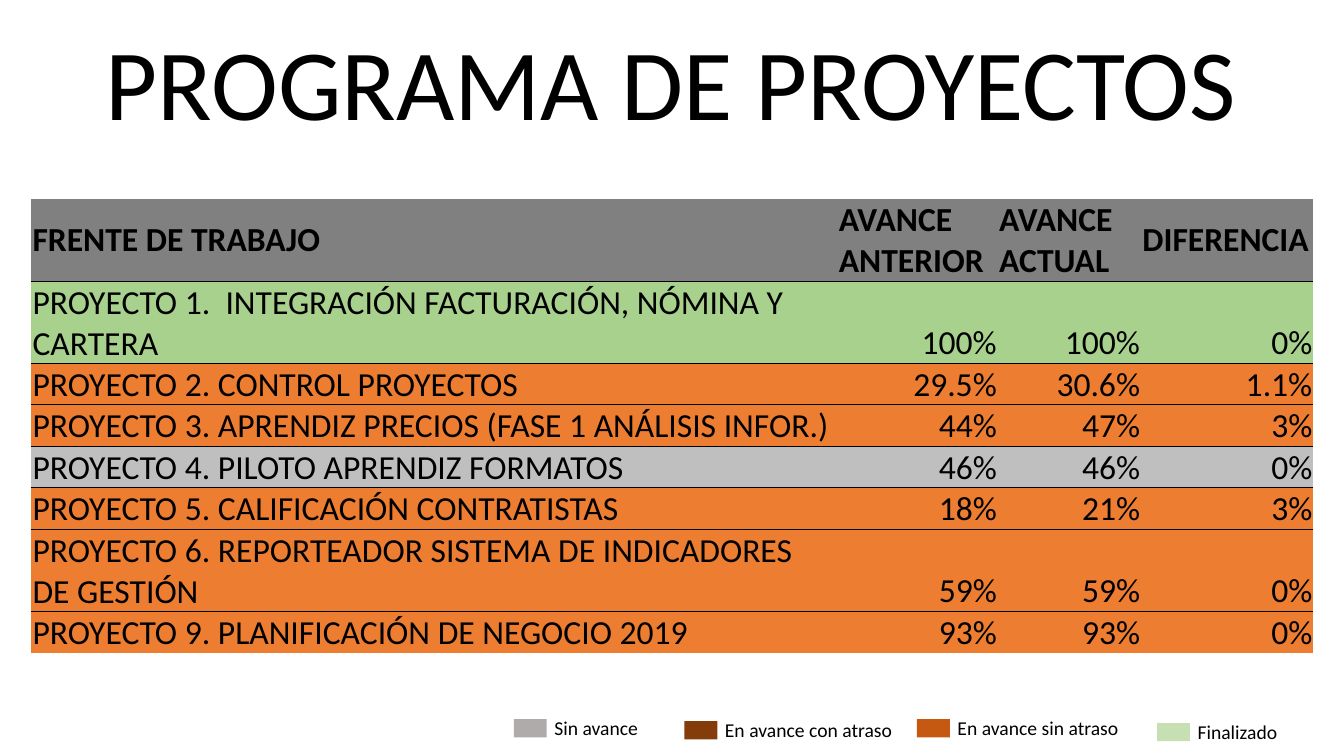
from lxml.etree import SubElement
from pptx import Presentation
from pptx.dml.color import RGBColor
from pptx.enum.shapes import MSO_SHAPE as Preset
from pptx.enum.text import MSO_ANCHOR as Anchor, PP_ALIGN as Align
from pptx.oxml.ns import qn
from pptx.util import Cm, Pt

BLACK = RGBColor(0x00, 0x00, 0x00)
HEADER_GRAY = RGBColor(0x80, 0x80, 0x80)
GREEN = RGBColor(0xA9, 0xD1, 0x8E)
ORANGE = RGBColor(0xED, 0x7D, 0x31)
LIGHT_GRAY = RGBColor(0xBF, 0xBF, 0xBF)
KEY_GRAY = RGBColor(0xAF, 0xAB, 0xAB)
KEY_BROWN = RGBColor(0x84, 0x3C, 0x0B)
KEY_ORANGE = RGBColor(0xC6, 0x59, 0x11)
KEY_GREEN = RGBColor(0xC6, 0xE0, 0xB4)

SINGLE_ROW = 1.04
DOUBLE_ROW = 2.07
VALUE_COLUMNS = (4.04, 3.61, 4.34)

PROJECTS = [
    (HEADER_GRAY, DOUBLE_ROW,
     ("FRENTE DE TRABAJO", "AVANCE ANTERIOR", "AVANCE ACTUAL", "DIFERENCIA")),
    (GREEN, DOUBLE_ROW,
     ("PROYECTO 1.  INTEGRACIÓN FACTURACIÓN, NÓMINA Y CARTERA", "100%", "100%", "0%")),
    (ORANGE, SINGLE_ROW,
     ("PROYECTO 2. CONTROL PROYECTOS", "29.5%", "30.6%", "1.1%")),
    (ORANGE, SINGLE_ROW,
     ("PROYECTO 3. APRENDIZ PRECIOS (FASE 1 ANÁLISIS INFOR.)", "44%", "47%", "3%")),
    (LIGHT_GRAY, SINGLE_ROW,
     ("PROYECTO 4. PILOTO APRENDIZ FORMATOS", "46%", "46%", "0%")),
    (ORANGE, SINGLE_ROW,
     ("PROYECTO 5. CALIFICACIÓN CONTRATISTAS", "18%", "21%", "3%")),
    (ORANGE, DOUBLE_ROW,
     ("PROYECTO 6. REPORTEADOR SISTEMA DE INDICADORES DE GESTIÓN", "59%", "59%", "0%")),
    (ORANGE, SINGLE_ROW,
     ("PROYECTO 9. PLANIFICACIÓN DE NEGOCIO 2019", "93%", "93%", "0%")),
]

LEGEND = [
    (0, 0, 4.9, KEY_GRAY, "Sin avance"),
    (4.3, 0.05, 4.9, KEY_BROWN, "En avance con atraso"),
    (10.16, 0, 4.9, KEY_ORANGE, "En avance sin atraso"),
    (16.21, 0.1, 2.6, KEY_GREEN, "Finalizado"),
]


def apply_format(target, values):
    for name, value in values.items():
        setattr(target, name, value)


def write_text(frame, text, size, align=Align.LEFT, bold=False):
    para = frame.paragraphs[0]
    para.alignment = align
    span = para.add_run()
    span.text = text
    apply_format(span.font, {"name": "Calibri", "size": Pt(size), "bold": bold})
    span.font.color.rgb = BLACK


def add_label(page, box, text, size, align=Align.LEFT):
    label = page.shapes.add_textbox(*map(Cm, box))
    label.text_frame.word_wrap = True
    write_text(label.text_frame, text, size, align)


def set_borders(cell, top, bottom):
    properties = cell._tc.get_or_add_tcPr()
    sides = {"a:lnL": False, "a:lnR": False, "a:lnT": top, "a:lnB": bottom}
    for position, (side, visible) in enumerate(sides.items()):
        line = SubElement(properties, qn(side), w=str(Pt(0.5)))
        if visible:
            fill = SubElement(line, qn("a:solidFill"))
            SubElement(fill, qn("a:srgbClr"), val=str(BLACK))
        else:
            SubElement(line, qn("a:noFill"))
        properties.insert(position, line)


def add_projects(page, box):
    column_count = len(VALUE_COLUMNS) + 1
    table = page.shapes.add_table(len(PROJECTS), column_count, *map(Cm, box)).table
    apply_format(table, {"first_row": False, "horz_banding": False})
    widths = (box[2] - sum(VALUE_COLUMNS), *VALUE_COLUMNS)
    for column, width in zip(table.columns, widths):
        column.width = Cm(width)
    last = len(PROJECTS) - 1
    for row_index, (color, height, texts) in enumerate(PROJECTS):
        table.rows[row_index].height = Cm(height)
        header = row_index == 0
        for column_index, text in enumerate(texts):
            cell = table.cell(row_index, column_index)
            apply_format(cell, {
                "margin_left": Cm(0.03),
                "margin_right": Cm(0.03),
                "margin_top": Cm(0.03),
                "margin_bottom": Cm(0),
                "vertical_anchor": Anchor.MIDDLE if header else Anchor.BOTTOM,
            })
            cell.fill.solid()
            cell.fill.fore_color.rgb = color
            set_borders(cell, not header, row_index < last)
            align = Align.LEFT if header or column_index == 0 else Align.RIGHT
            write_text(cell.text_frame, text, 24, align, header)


def add_legend(page, box):
    left, top, _, height = box
    for shift, drop, label_width, color, text in LEGEND:
        key_left, label_top = left + shift, top + drop
        key_box = (key_left, label_top + 0.2, 0.83, 0.46)
        key = page.shapes.add_shape(Preset.RECTANGLE, *map(Cm, key_box))
        key.shadow.inherit = False
        key.fill.solid()
        key.fill.fore_color.rgb = color
        key.line.fill.background()
        add_label(page, (key_left + 0.77, label_top, label_width, height), text, 14)


def main():
    deck = Presentation()
    apply_format(deck, {"slide_width": Cm(33.87), "slide_height": Cm(19.05)})
    page = deck.slides.add_slide(deck.slide_layouts[6])
    add_label(page, (1.55, 0.38, 30.73, 3.33), "PROGRAMA DE PROYECTOS", 72, Align.CENTER)
    add_projects(page, (0.79, 5.01, 32.31, 11.38))
    add_legend(page, (12.95, 17.92, 19.58, 0.86))
    deck.save("out.pptx")


if __name__ == "__main__":
    main()
